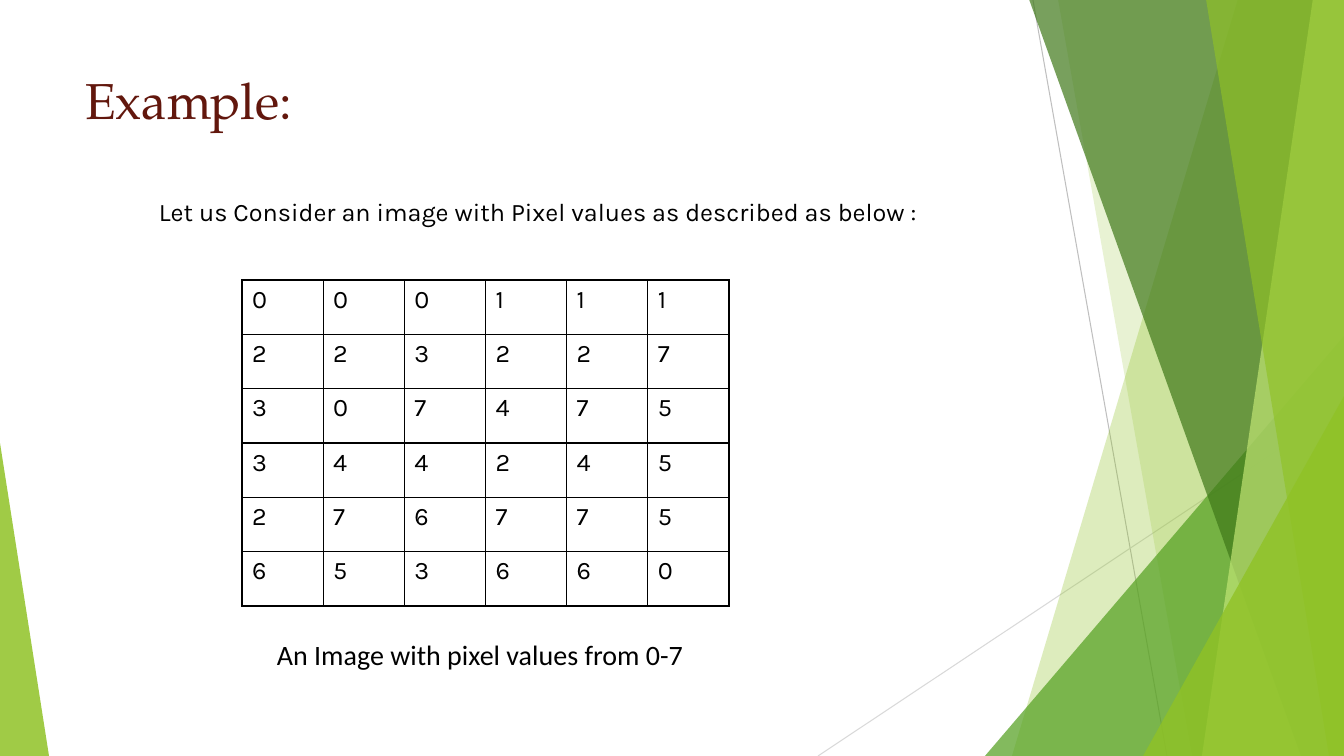
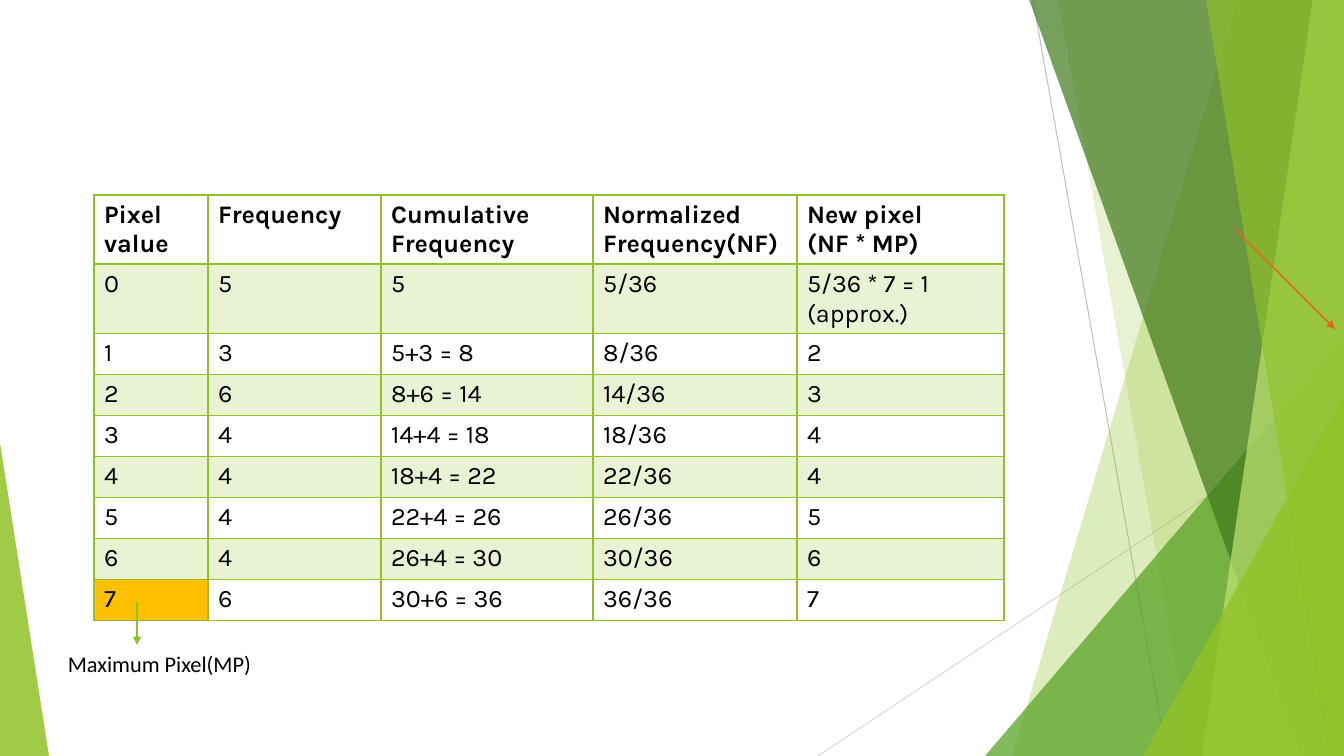
from lxml.etree import SubElement
from pptx import Presentation
from pptx.dml.color import RGBColor
from pptx.enum.shapes import MSO_CONNECTOR as Connector, MSO_SHAPE as Shape
from pptx.enum.text import MSO_ANCHOR as Anchor, MSO_AUTO_SIZE as AutoSize, PP_ALIGN as Align
from pptx.oxml import parse_xml
from pptx.oxml.ns import nsdecls, qn
from pptx.util import Pt

WIDTH, HEIGHT = 1344, 756
PX = 12192000 / WIDTH
COLOURS = {
    "white": "FFFFFF", "black": "000000", "title": "62170D",
    "lime": "90C226", "green": "54A021", "forest": "3F7819", "pale": "C0E474",
    "band": "E9F3D4", "highlight": "FFC000", "orange": "E76618",
    "grey": "BFBFBF", "light grey": "D9D9D9",
}
TITLE_FONT, BODY_FONT, LABEL_FONT = "TeX Gyre Pagella", "Karla", "Calibri"
TITLE_ONLY, BLANK = 5, 6

SHARDS = [(1238, 1012, "lime", 30), (1058, 1192, "lime", 20), (1029, 1301, "forest", 70),
          (1313, 1202, "pale", 70), (1206, 1329, "lime", 65)]

IMAGE_PIXELS = ["000111", "223227", "307475", "344245", "276775", "653660"]
HEADINGS = ["Pixel value", "Frequency", "Cumulative Frequency",
            "Normalized Frequency(NF)", "New pixel\n(NF * MP)"]
FREQUENCIES = [5, 3, 6, 4, 4, 4, 4, 6]
NEW_PIXELS = ["5/36 * 7 = 1 (approx.)", "2", "3", "4", "4", "5", "6", "7"]


def px(length):
    return round(length * PX)


def rgb(colour):
    return RGBColor.from_string(COLOURS[colour])


class Deck:
    """Holds the presentation style and draws on the current slide."""

    def __init__(self):
        self.prs = Presentation()
        self.prs.slide_width, self.prs.slide_height = px(WIDTH), px(HEIGHT)
        self.slide = None

    def open_slide(self, layout):
        self.slide = self.prs.slides.add_slide(self.prs.slide_layouts[layout])

    def style(self, frame, size, font, colour="black", bold=False):
        for paragraph in frame.paragraphs:
            paragraph.alignment = Align.LEFT
            for run in paragraph.runs:
                run.font.size, run.font.name, run.font.bold = Pt(size), font, bold
                run.font.color.rgb = rgb(colour)

    def title(self, text, left, top, width, height):
        heading = self.slide.shapes.title
        heading.left, heading.top, heading.width, heading.height = map(px, (left, top, width, height))
        frame = heading.text_frame
        frame.text = text
        frame.auto_size, frame.vertical_anchor = AutoSize.NONE, Anchor.TOP
        frame.margin_top = px(1)
        self.style(frame, 36, TITLE_FONT, "title")

    def text(self, text, left, top, width, height, size, font):
        frame = self.slide.shapes.add_textbox(*map(px, (left, top, width, height))).text_frame
        frame.word_wrap = True
        frame.text = text
        self.style(frame, size, font)

    def line(self, x1, y1, x2, y2, colour, weight=1, arrow=False):
        connector = self.slide.shapes.add_connector(Connector.STRAIGHT, *map(px, (x1, y1, x2, y2)))
        connector.line.color.rgb = rgb(colour)
        connector.line.width = Pt(weight)
        if arrow:
            SubElement(connector.line._get_or_add_ln(), qn("a:tailEnd"), type="triangle")
        SubElement(connector.element.spPr, qn("a:effectLst"))
        return connector

    def tint(self, shape, colour, opacity):
        shape.shadow.inherit = False
        shape.line.fill.background()
        shape.fill.solid()
        shape.fill.fore_color.rgb = rgb(colour)
        fill_colour = shape.element.spPr.find(qn("a:solidFill")).find(qn("a:srgbClr"))
        SubElement(fill_colour, qn("a:alpha"), val=str(opacity * 1000))
        return shape

    def shard(self, top_x, bottom_x, colour, opacity):
        builder = self.slide.shapes.build_freeform(top_x, -1, scale=PX)
        builder.add_line_segments([(WIDTH, -1), (WIDTH, HEIGHT), (bottom_x, HEIGHT)], close=True)
        return self.tint(builder.convert_to_shape(), colour, opacity)

    def triangle(self, left, top, width, peak, colour, opacity):
        shape = self.slide.shapes.add_shape(
            Shape.ISOSCELES_TRIANGLE, *map(px, (left, top, width, HEIGHT - top)))
        shape.adjustments[0] = peak
        return self.tint(shape, colour, opacity)

    def backdrop(self):
        """Draws the shared decoration and moves it to the slide master."""
        parts = [
            self.line(1033, 0, 1167, HEIGHT, "grey", 0.75),
            self.line(WIDTH, 406, 818, HEIGHT, "light grey", 0.75),
            *[self.shard(*shard) for shard in SHARDS[:2]],
            self.triangle(985, 336, 359, 1, "green", 72),
            *[self.shard(*shard) for shard in SHARDS[2:]],
            self.triangle(1143, 396, 201, 1, "lime", 80),
            self.triangle(0, 443, 49, 0, "lime", 85),
        ]
        master_tree = self.prs.slide_master.shapes.element
        for number, part in enumerate(parts, 100):
            part.element.xpath(".//p:cNvPr")[0].set("id", str(number))
            master_tree.append(part.element)

    def table(self, rows, left, top, width, height, border, header=False):
        frame = self.slide.shapes.add_table(
            len(rows), len(rows[0]), *map(px, (left, top, width, height)))
        grid = frame.table
        grid.first_row = grid.horz_banding = False
        for r, row in enumerate(rows):
            for c, value in enumerate(row):
                cell = grid.cell(r, c)
                cell.text_frame.text = str(value)
                self.style(cell.text_frame, 18, BODY_FONT, bold=header and r == 0)
                self.shade(cell, "band" if header and r % 2 else "white")
        for number, properties in enumerate(frame.element.xpath(".//a:tcPr")):
            heading = header and number < len(rows[0])
            for place, side in enumerate(("lnL", "lnR", "lnT", "lnB")):
                weight = Pt(2 if heading and side == "lnB" else 1)
                properties.insert(place, parse_xml(
                    f'<a:{side} {nsdecls("a")} w="{weight}"><a:solidFill>'
                    f'<a:srgbClr val="{COLOURS[border]}"/></a:solidFill></a:{side}>'))
        return grid

    def shade(self, cell, colour):
        cell.fill.solid()
        cell.fill.fore_color.rgb = rgb(colour)


def frequency_rows():
    rows, total = [HEADINGS], 0
    for pixel, (count, new_pixel) in enumerate(zip(FREQUENCIES, NEW_PIXELS)):
        running = f"{total}+{count} = {total + count}" if total else count
        total += count
        rows.append([pixel, count, running, f"{total}/{sum(FREQUENCIES)}", new_pixel])
    return rows


def example_slide(deck):
    deck.open_slide(TITLE_ONLY)
    deck.backdrop()
    deck.title("Example:", 75, 68, 239, 64)
    deck.table(IMAGE_PIXELS, 242, 280, 487, 326, "black")
    deck.text("An Image with pixel values from 0-7", 267, 633, 490, 44, 20, LABEL_FONT)
    deck.text("Let us Consider an image with Pixel values as described as below :",
              149, 191, 805, 40, 18, BODY_FONT)


def frequency_slide(deck):
    deck.open_slide(BLANK)
    frequencies = deck.table(frequency_rows(), 94, 195, 910, 425, "lime", header=True)
    for column, width in zip(frequencies.columns, (114, 173, 212, 204, 207)):
        column.width = px(width)
    for row, height in zip(frequencies.rows, [69] * 2 + [41] * 7):
        row.height = px(height)
    deck.shade(frequencies.cell(8, 0), "highlight")
    deck.line(1234, 228, 1335, 329, "orange", arrow=True)
    deck.line(137, 602, 137, 645, "lime", arrow=True)
    deck.text("Maximum Pixel(MP)", 58, 645, 225, 37, 16, LABEL_FONT)


def main():
    deck = Deck()
    example_slide(deck)
    frequency_slide(deck)
    deck.prs.save("out.pptx")


if __name__ == "__main__":
    main()
